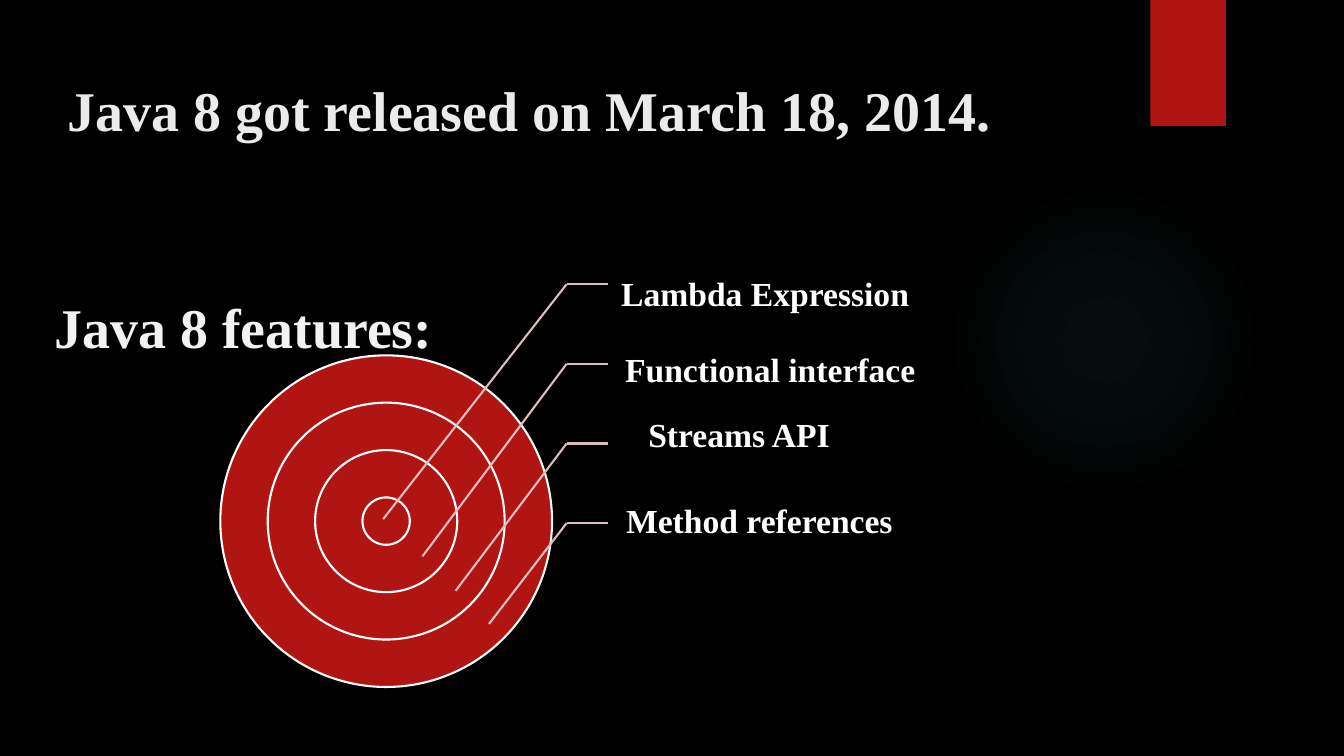
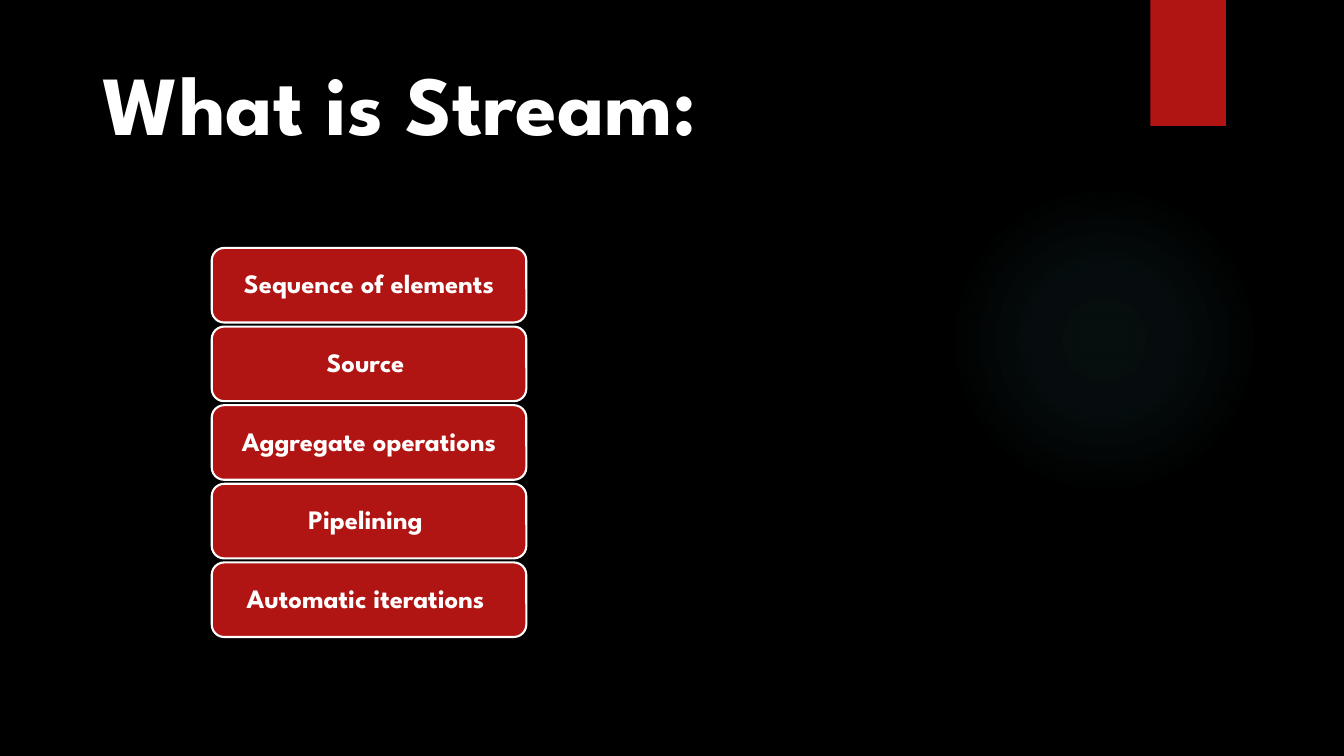
from pptx import Presentation
from pptx.dml.color import RGBColor
from pptx.enum.shapes import MSO_CONNECTOR, MSO_SHAPE
from pptx.enum.text import MSO_ANCHOR, PP_ALIGN
from pptx.oxml import parse_xml
from pptx.oxml.ns import nsdecls, qn
from pptx.util import Inches, Pt
from lxml.etree import SubElement

BLACK = RGBColor(0x00, 0x00, 0x00)
WHITE = RGBColor(0xFF, 0xFF, 0xFF)
RED = RGBColor(0xB0, 0x15, 0x13)
PINK = RGBColor(0xDC, 0xBD, 0xBD)
TITLE_GREY = RGBColor(0xEB, 0xEB, 0xEB)
HEADING_GREY = RGBColor(0xF2, 0xF2, 0xF2)
GLOW = RGBColor(0x50, 0xB9, 0xC1)
SERIF = "Times New Roman"
SANS = "League Spartan"
OUTLINE = Pt(1.5)
BOX_INSETS = (0.1, 0.05, 0.1, 0.05)
LABEL_INSETS = (0.19, 0.03, 0.03, 0.03)
PILL_INSETS = (0.12, 0.08, 0.12, 0.08)

FEATURES = [
    ("Lambda Expression", (5.97, 2.54, 4.41, 0.79), (3.8, 5.15)),
    ("Functional interface", (6.01, 3.29, 3.75, 0.79), (4.19, 5.52)),
    ("Streams API", (6.24, 3.94, 3.23, 0.79), (4.52, 5.86)),
    ("Method references", (6.02, 4.79, 3.57, 0.79), (4.85, 6.19)),
]
STREAM_TRAITS = [
    "Sequence of elements",
    "Source\u00a0",
    "Aggregate operations",
    "Pipelining\u00a0",
    "Automatic iterations\u00a0",
]


def apply(target, values):
    for name, value in values.items():
        setattr(target, name, value)


def write(shape, text, font, anchor=MSO_ANCHOR.MIDDLE, insets=BOX_INSETS,
          align=PP_ALIGN.LEFT, spacing=1.0):
    frame = shape.text_frame
    left, top, right, bottom = map(Inches, insets)
    apply(frame, {"word_wrap": True, "vertical_anchor": anchor,
                  "margin_left": left, "margin_top": top,
                  "margin_right": right, "margin_bottom": bottom})
    para = frame.paragraphs[0]
    apply(para, {"alignment": align, "line_spacing": spacing})
    span = para.add_run()
    span.text = text
    name, size, color = font
    apply(span.font, {"name": name, "size": Pt(size), "bold": True})
    span.font.color.rgb = color


def add_text(page, place, text, font, **layout):
    box = page.shapes.add_textbox(*map(Inches, place))
    write(box, text, font, **layout)


def add_block(page, kind, place, outlined=True):
    shape = page.shapes.add_shape(kind, *map(Inches, place))
    shape.shadow.inherit = False
    shape.fill.solid()
    shape.fill.fore_color.rgb = RED
    if outlined:
        shape.line.color.rgb = WHITE
        shape.line.width = OUTLINE
    else:
        shape.line.fill.background()
    return shape


def add_line(page, start, end):
    line = page.shapes.add_connector(
        MSO_CONNECTOR.STRAIGHT, *map(Inches, start + end))
    line.line.color.rgb = PINK
    line.line.width = OUTLINE
    SubElement(line._element.spPr, qn("a:effectLst"))


def add_glow(page):
    glow = add_block(page, MSO_SHAPE.OVAL, (9.41, 1.83, 3.08, 3.08), False)
    stops = "".join(
        f'<a:gs pos="{position * 1000}"><a:srgbClr val="{GLOW}">'
        f'<a:alpha val="{alpha * 1000}"/></a:srgbClr></a:gs>'
        for position, alpha in [(0, 7), (36, 6), (69, 0)])
    gradient = parse_xml(
        f'<a:gradFill {nsdecls("a")} rotWithShape="1"><a:gsLst>{stops}</a:gsLst>'
        '<a:path path="circle"><a:fillToRect l="50000" t="50000" '
        'r="50000" b="50000"/></a:path></a:gradFill>')
    properties = glow._element.spPr
    properties.replace(properties.find(qn("a:solidFill")), gradient)


def add_page(deck, title, place, font):
    page = deck.slides.add_slide(deck.slide_layouts[6])
    page.background.fill.solid()
    page.background.fill.fore_color.rgb = BLACK
    add_glow(page)
    add_block(page, MSO_SHAPE.RECTANGLE, (11.41, 0, 0.75, 1.25), False)
    add_text(page, place, title, font, anchor=MSO_ANCHOR.BOTTOM)
    return page


def add_target(page, center_x, center_y, core, rings):
    for ring in reversed(range(rings)):
        size = core * (2 * ring + 1)
        add_block(page, MSO_SHAPE.OVAL,
                  (center_x - size / 2, center_y - size / 2, size, size))


def add_callouts(page):
    for index, (text, place, tip) in enumerate(FEATURES):
        height = 2.82 + 0.79 * index
        elbow = (5.62, height)
        add_text(page, place, text, (SERIF, 24, WHITE),
                 insets=LABEL_INSETS, spacing=0.9)
        add_line(page, elbow, (6.03, height))
        add_line(page, elbow, tip)


def add_pills(page):
    for index, text in enumerate(STREAM_TRAITS):
        pill = add_block(page, MSO_SHAPE.ROUNDED_RECTANGLE,
                         (2.1, 2.46 + 0.78 * index, 3.12, 0.74))
        write(pill, text, (SANS, 19, WHITE), insets=PILL_INSETS,
              align=PP_ALIGN.CENTER, spacing=0.9)


def main():
    deck = Presentation()
    apply(deck, {"slide_width": Inches(13.33), "slide_height": Inches(7.5)})

    features = add_page(deck, "Java 8 got released on March 18, 2014.",
                        (0.57, 0.24, 9.38, 1.22), (SERIF, 40, TITLE_GREY))
    add_target(features, 3.83, 5.17, 0.47, 4)
    add_callouts(features)
    add_text(features, (0.44, 2.85, 7.06, 0.77), "Java 8 features:",
             (SERIF, 40, HEADING_GREY), anchor=MSO_ANCHOR.TOP)

    stream = add_page(deck, "What is Stream:",
                      (0.92, 0.45, 10.07, 1.11), (SANS, 60, WHITE))
    add_pills(stream)

    deck.save("out.pptx")


main()
